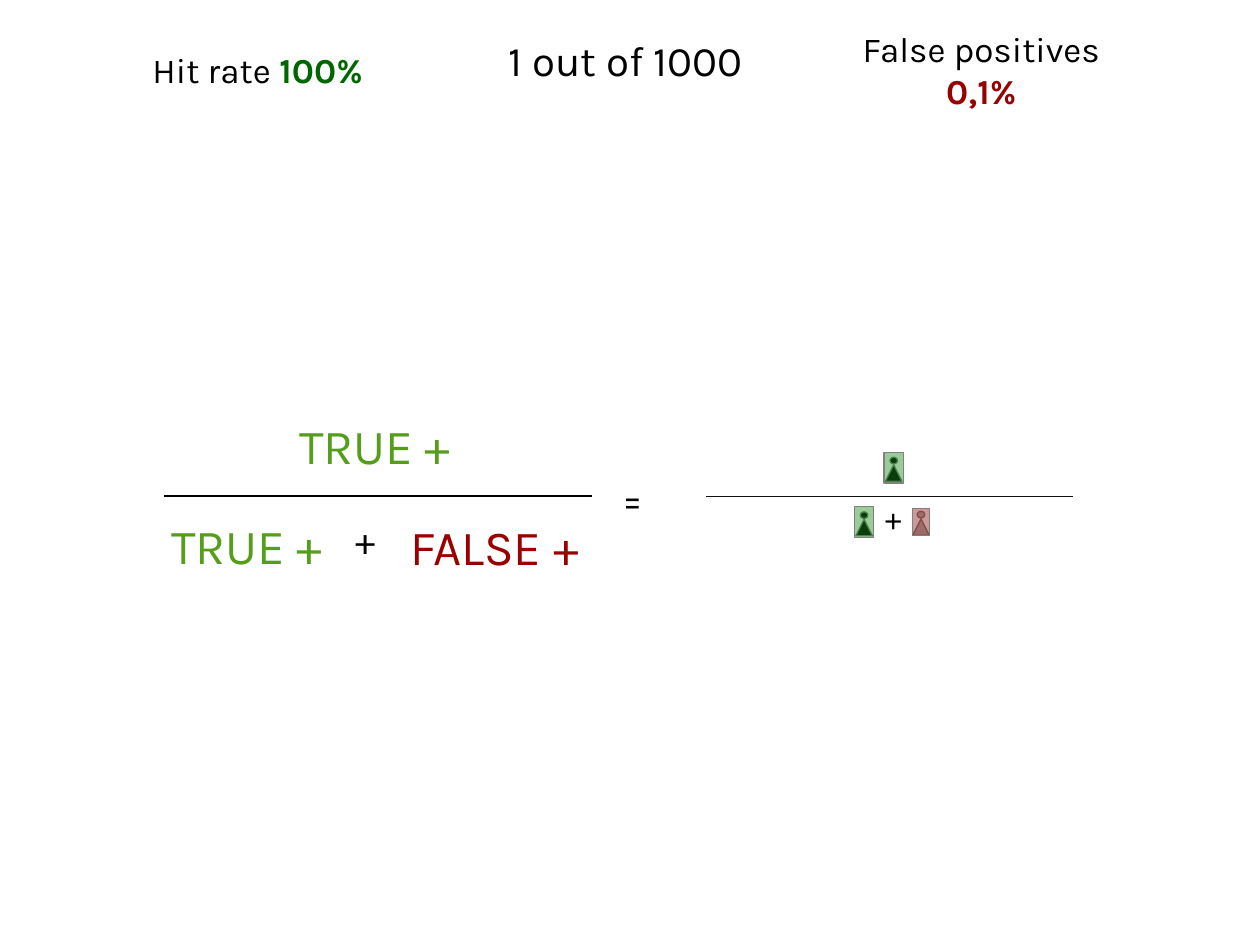
from dataclasses import dataclass

from lxml.etree import SubElement
from pptx import Presentation
from pptx.dml.color import RGBColor
from pptx.enum.shapes import MSO_CONNECTOR, MSO_SHAPE as Shape
from pptx.enum.text import MSO_ANCHOR as Anchor, PP_ALIGN as Align
from pptx.oxml.ns import qn
from pptx.util import Pt

BLACK, GREY = "000000", "808080"
GREEN, RED = "579D1C", "990000"


@dataclass(frozen=True)
class Term:
    text: str
    left: float
    top: float
    width: float
    size: float
    color: str = BLACK
    font: str = "Karla"


@dataclass(frozen=True)
class Heading:
    label: str
    left: float
    top: float
    width: float
    height: float
    size: float
    value: str = ""
    color: str = BLACK


@dataclass(frozen=True)
class Card:
    left: float
    top: float
    width: float
    height: float
    head_gap: float
    color: str
    figure: str


TERMS = [
    Term("TRUE +", 164, 234, 108, 28, GREEN),
    Term("FALSE +", 227.5, 291.6, 122.4, 28, RED),
    Term("TRUE +", 90.7, 291, 108, 28, GREEN),
    Term("+", 195.8, 291.6, 30.2, 22),
    Term("=", 348.5, 267.8, 30.2, 22),
    Term("+", 498.2, 283, 18.7, 18, font="Arial"),
]

HEADINGS = [
    Heading("1 out of 1000", 208, 9.4, 298.8, 49, 24),
    Heading("Hit rate ", 52.6, -9.4, 189.4, 98, 20, "100%", "006600"),
    Heading("False positives\v", 473, -10, 175.7, 100, 20, "0,1%", RED),
]

CARDS = [
    Card(505.2, 258.4, 11, 17.6, 2.9, "008000", "111111"),
    Card(488.3, 289.6, 11, 17.6, 2.9, "008000", "111111"),
    Card(521.3, 290.7, 10, 15.2, 1.5, "800000", "B2B2B2"),
]


def rgb(color: str) -> RGBColor:
    return RGBColor.from_string(color)


def style_run(r, size: float, color: str, font: str = "Karla", bold: bool = False) -> None:
    r.font.name = font
    r.font.size = Pt(size)
    r.font.bold = bold
    r.font.color.rgb = rgb(color)


def add_text_frame(s, left: float, top: float, width: float, height: float):
    box = s.shapes.add_textbox(Pt(left), Pt(top), Pt(width), Pt(height))
    box.text_frame.word_wrap = True
    return box.text_frame


def add_term(s, term: Term) -> None:
    tf = add_text_frame(s, term.left, term.top, term.width, term.size * 1.46)
    tf.text = term.text
    style_run(tf.paragraphs[0].runs[0], term.size, term.color, term.font)


def add_heading(s, heading: Heading) -> None:
    tf = add_text_frame(s, heading.left, heading.top, heading.width, heading.height)
    tf.margin_left = tf.margin_right = tf.margin_top = tf.margin_bottom = 0
    tf.vertical_anchor = Anchor.MIDDLE
    tf.text = heading.label
    p = tf.paragraphs[0]
    p.alignment = Align.CENTER
    style_run(p.runs[0], heading.size, BLACK)
    if heading.value:
        r = p.add_run()
        r.text = heading.value
        style_run(r, heading.size, heading.color, bold=True)


def add_bar(s, left: float, right: float, y: float, width: float, color: str) -> None:
    bar = s.shapes.add_connector(MSO_CONNECTOR.STRAIGHT, Pt(left), Pt(y), Pt(right), Pt(y))
    bar.line.width = Pt(width)
    bar.line.color.rgb = rgb(color)
    SubElement(bar._element.spPr, qn("a:effectLst"))


def add_centered(s, kind: Shape, center: float, top: float, width: float, height: float, color: str):
    sp = s.shapes.add_shape(kind, Pt(center - width / 2), Pt(top), Pt(width), Pt(height))
    sp.shadow.inherit = False
    sp.fill.solid()
    sp.fill.fore_color.rgb = rgb(color)
    sp.line.color.rgb = rgb(GREY)
    sp.line.width = Pt(0.75)
    return sp


def add_card(s, card: Card) -> None:
    center = card.left + card.width / 2
    head_top = card.top + card.head_gap
    add_centered(s, Shape.ISOSCELES_TRIANGLE, center, head_top + 4.3, 9.4, 9.4, card.figure)
    add_centered(s, Shape.OVAL, center, head_top, 4.3, 3.8, card.figure)
    cover = add_centered(s, Shape.RECTANGLE, center, card.top, card.width, card.height, card.color)
    fill_color = cover._element.spPr.find(qn("a:solidFill"))[0]
    SubElement(fill_color, qn("a:alpha"), val="40000")


def main() -> None:
    prs = Presentation()
    prs.slide_width, prs.slide_height = Pt(720), Pt(540)
    s = prs.slides.add_slide(prs.slide_layouts[6])
    for term in TERMS:
        add_term(s, term)
    add_bar(s, 93.6, 338.4, 283.4, 1.5, BLACK)
    add_bar(s, 403.7, 613, 283.3, 0.25, "111111")
    for card in CARDS:
        add_card(s, card)
    for heading in HEADINGS:
        add_heading(s, heading)
    prs.save("out.pptx")


if __name__ == "__main__":
    main()
